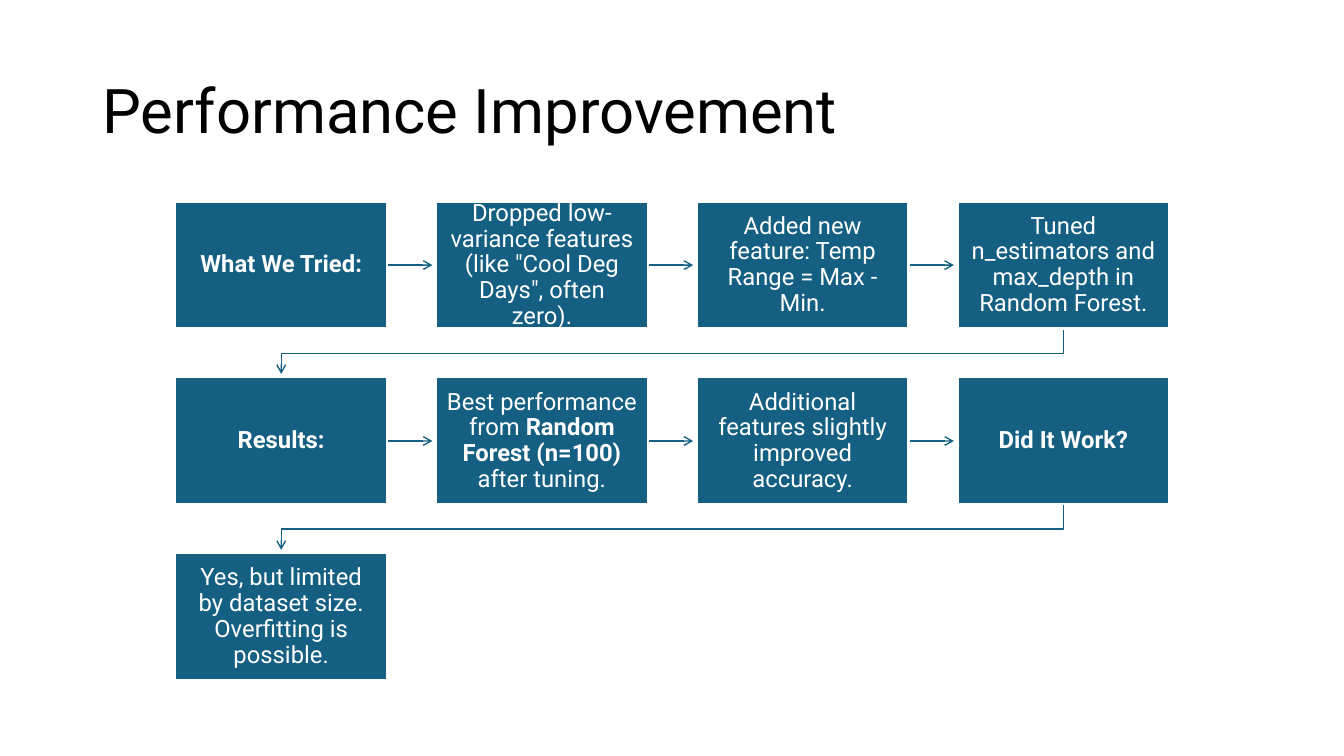
from lxml.etree import SubElement
from pptx import Presentation
from pptx.dml.color import RGBColor
from pptx.enum.shapes import MSO_CONNECTOR as Connector, MSO_SHAPE as Shape
from pptx.enum.text import MSO_ANCHOR as Anchor, MSO_AUTO_SIZE as AutoSize, PP_ALIGN as Align
from pptx.oxml.ns import qn
from pptx.util import Pt

COLORS = {"box": "156082", "white": "FFFFFF", "title": "000000"}
COLUMNS = 4
LEFT, TOP = 125.28, 144
WIDTH, HEIGHT = 151.2, 90.72
COLUMN_STEP, ROW_STEP = 186.24, 125.64
ARROW_LENGTH = 32.4
TURN_DROP = 17.6

STEPS = [
    [("What We Tried:", True)],
    [("Dropped low-variance features (like \"Cool Deg Days\", often zero).", False)],
    [("Added new feature: Temp Range = Max - Min.", False)],
    [("Tuned n_estimators and max_depth in Random Forest.", False)],
    [("Results:", True)],
    [("Best performance from ", False), ("Random Forest (n=100)", True), (" after tuning.", False)],
    [("Additional features slightly improved accuracy.", False)],
    [("Did It Work?", True)],
    [("Yes, but limited by dataset size. Overfitting is possible.", False)],
]


def color(name):
    """Return the named colour."""
    return RGBColor.from_string(COLORS[name])


def write(frame, spans, size=17, ink="white", align=Align.CENTER, inset=(7.2, 7.92)):
    """Fill a text frame with one paragraph of (text, bold) spans."""
    frame.word_wrap = True
    frame.auto_size = AutoSize.NONE
    frame.vertical_anchor = Anchor.MIDDLE
    frame.margin_left = frame.margin_right = Pt(inset[0])
    frame.margin_top = frame.margin_bottom = Pt(inset[1])
    para = frame.paragraphs[0]
    para.alignment = align
    para.line_spacing = 0.9
    for text, bold in spans:
        span = para.add_run()
        span.text = text
        span.font.name = "Roboto"
        span.font.size = Pt(size)
        span.font.bold = bold
        span.font.color.rgb = color(ink)


class FlowSlide:
    """Hold the current page and draw its elements in one style."""

    def __init__(self, deck):
        """Add a title-only page to the deck."""
        self.page = deck.slides.add_slide(deck.slide_layouts[5])

    def title(self, text):
        """Place and format the title."""
        title = self.page.shapes.title
        title.left, title.top, title.width, title.height = Pt(66), Pt(28.75), Pt(828), Pt(104.4)
        write(title.text_frame, [(text, False)], size=44, ink="title",
              align=Align.LEFT, inset=(7.2, 3.6))

    def box(self, left, top, spans):
        """Draw one step and return its shape."""
        box = self.page.shapes.add_shape(Shape.RECTANGLE, Pt(left), Pt(top), Pt(WIDTH), Pt(HEIGHT))
        box.shadow.inherit = False
        box.fill.solid()
        box.fill.fore_color.rgb = color("box")
        box.line.color.rgb = color("white")
        box.line.width = Pt(1.5)
        write(box.text_frame, spans)
        return box

    def arrow_line(self, shape, box):
        """Style a line as an arrow and set it behind its box."""
        shape.line.color.rgb = color("box")
        shape.line.width = Pt(1)
        SubElement(shape.line._get_or_add_ln(), qn("a:tailEnd"), type="arrow")
        box._element.addprevious(shape._element)

    def arrow(self, box, left, top):
        """Point from the right side of a box to the next column."""
        start, middle = left + WIDTH, top + HEIGHT / 2
        arrow = self.page.shapes.add_connector(
            Connector.STRAIGHT, Pt(start), Pt(middle), Pt(start + ARROW_LENGTH), Pt(middle))
        arrow.begin_connect(box, 3)
        self.arrow_line(arrow, box)
        SubElement(arrow._element.spPr, qn("a:effectLst"))

    def turn(self, box, left, top):
        """Point from the bottom of the last column to the next row."""
        start, end, bottom = left + WIDTH / 2, LEFT + WIDTH / 2, top + HEIGHT
        corners = [(start, bottom + TURN_DROP), (end, bottom + TURN_DROP),
                   (end, bottom + ARROW_LENGTH)]
        outline = self.page.shapes.build_freeform(Pt(start), Pt(bottom))
        outline.add_line_segments([(Pt(x), Pt(y)) for x, y in corners], close=False)
        turn = outline.convert_to_shape()
        turn.shadow.inherit = False
        turn.fill.background()
        self.arrow_line(turn, box)


def main():
    """Build and save the deck."""
    deck = Presentation()
    deck.slide_width, deck.slide_height = Pt(960), Pt(540)
    flow = FlowSlide(deck)
    flow.title("Performance Improvement")
    for index, spans in enumerate(STEPS):
        row, column = divmod(index, COLUMNS)
        left, top = LEFT + column * COLUMN_STEP, TOP + row * ROW_STEP
        box = flow.box(left, top, spans)
        if index < len(STEPS) - 1:
            link = flow.turn if column == COLUMNS - 1 else flow.arrow
            link(box, left, top)
    deck.save("out.pptx")


if __name__ == "__main__":
    main()
